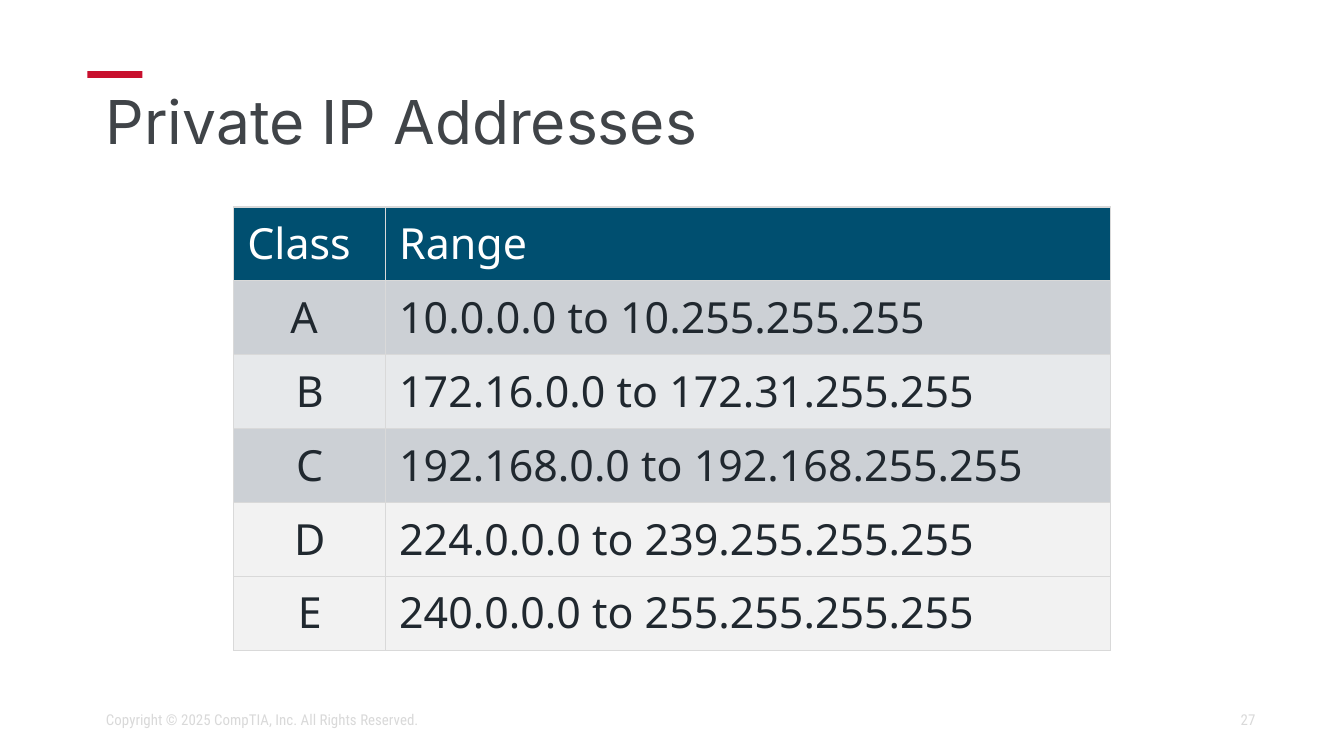
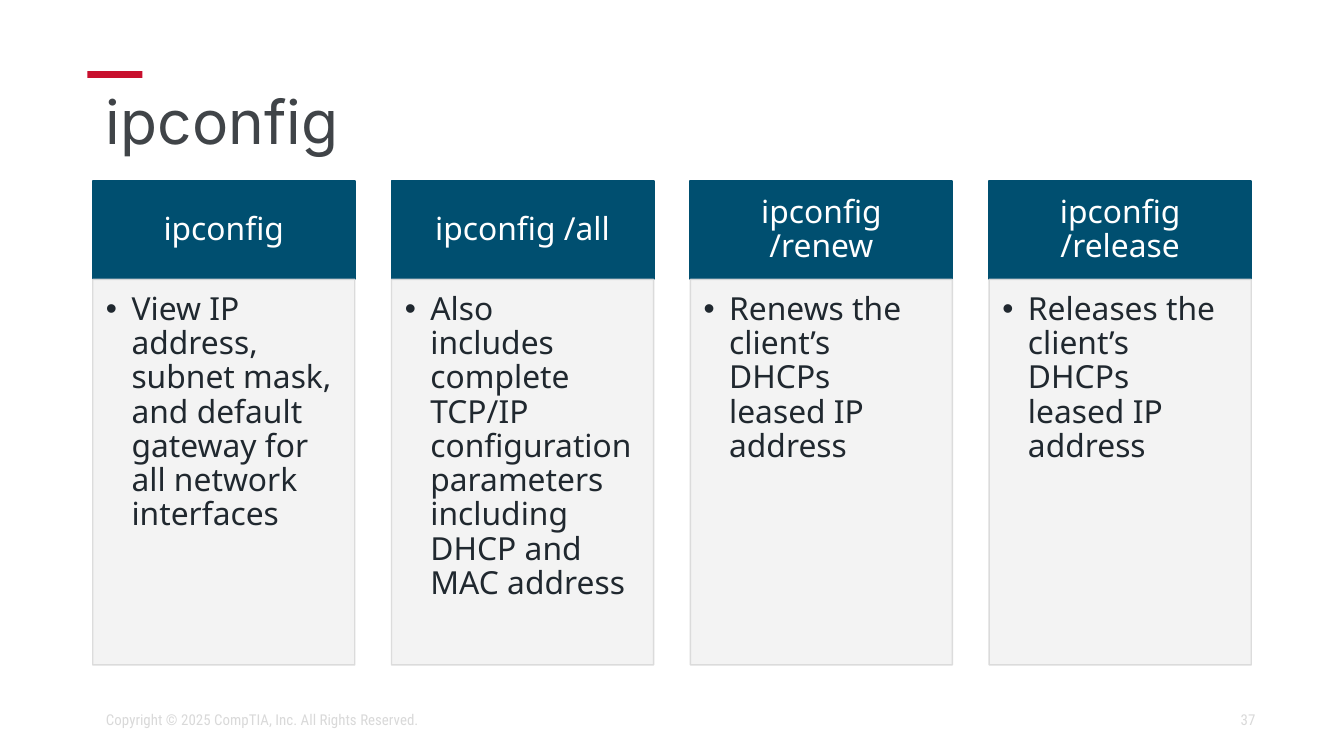
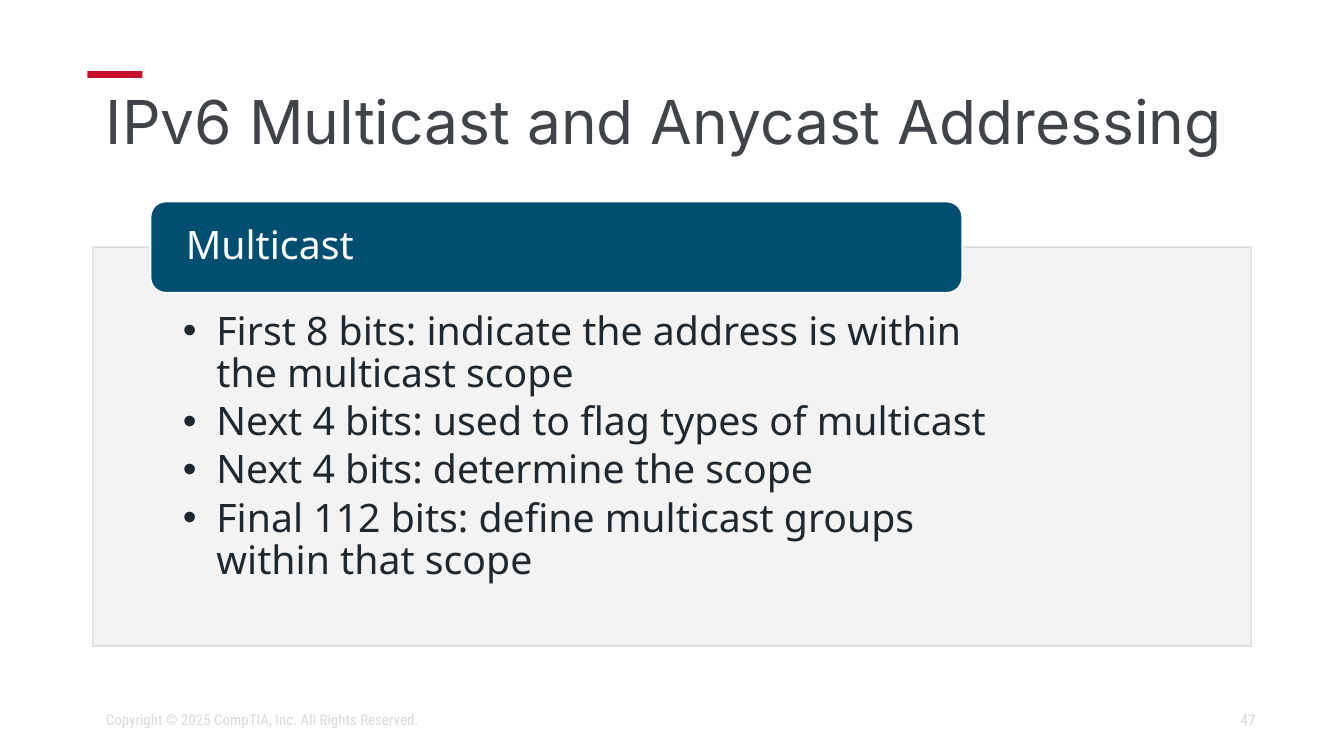
"""Build three slides about IP addressing."""
from lxml import etree
from pptx import Presentation
from pptx.dml.color import RGBColor
from pptx.enum.shapes import MSO_SHAPE
from pptx.enum.text import MSO_ANCHOR, PP_ALIGN
from pptx.oxml.ns import qn
from pptx.util import Inches, Pt

RECTANGLE = MSO_SHAPE.RECTANGLE
ROUNDED = MSO_SHAPE.ROUNDED_RECTANGLE
TOP, MIDDLE = MSO_ANCHOR.TOP, MSO_ANCHOR.MIDDLE
LEFT, CENTER, RIGHT = PP_ALIGN.LEFT, PP_ALIGN.CENTER, PP_ALIGN.RIGHT

COLORS = {
    "red": "C8102E", "title": "404448", "footer": "D9D9D9", "blue": "004F70",
    "panel": "F2F2F2", "border": "D9D9D9", "ink": "20282F", "white": "FFFFFF",
    "dark band": "CCD0D5", "light band": "E7E9EB",
}
TITLE_FONT, BODY_FONT, FOOTER_FONT = "Inter", "Noto Sans", "Roboto Condensed"
COPYRIGHT = "Copyright © 2025 CompTIA, Inc. All Rights Reserved."
MARGIN, CONTENT_WIDTH = 0.69, 8.62
DEFAULT_INSETS = (0.1, 0.05, 0.1, 0.05)


class Deck:
    """Holds the shared style and the current slide."""

    def __init__(self):
        self.presentation = Presentation()
        self.presentation.slide_width = Inches(10)
        self.presentation.slide_height = Inches(5.62)
        self.slide = None

    def color(self, name):
        return RGBColor.from_string(COLORS[name])

    def start_slide(self, title, number):
        self.slide = self.presentation.slides.add_slide(self.presentation.slide_layouts[6])
        self.box((0.65, 0.53, 0.41, 0.05), "red")
        self.label((MARGIN, 0.64, CONTENT_WIDTH, 0.63), title, TITLE_FONT, 32.4, "title",
                   spacing=0.9)
        self.label((7.06, 5.21, 2.38, 0.3), str(number), FOOTER_FONT, 8, "footer",
                   anchor=MIDDLE, align=RIGHT)
        self.label((MARGIN, 5.21, 4.31, 0.3), COPYRIGHT, FOOTER_FONT, 8, "footer",
                   anchor=MIDDLE)

    def add_text(self, paragraph, text, font, size, color, align=LEFT):
        paragraph.alignment = align
        for index, line in enumerate(text.split("\n")):
            if index:
                paragraph.add_line_break()
            run = paragraph.add_run()
            run.text = line
            run.font.name = font
            run.font.size = Pt(size)
            run.font.color.rgb = self.color(color)

    def prepare(self, shape, insets, anchor):
        frame = shape.text_frame
        frame.word_wrap = True
        frame.vertical_anchor = anchor
        (frame.margin_left, frame.margin_top,
         frame.margin_right, frame.margin_bottom) = map(Inches, insets)
        return frame

    def label(self, area, text, font, size, color, anchor=TOP, align=LEFT, spacing=1.0):
        shape = self.slide.shapes.add_textbox(*map(Inches, area))
        paragraph = self.prepare(shape, DEFAULT_INSETS, anchor).paragraphs[0]
        paragraph.line_spacing = spacing
        self.add_text(paragraph, text, font, size, color, align)

    def box(self, area, fill, line=None, line_width=1, kind=RECTANGLE):
        shape = self.slide.shapes.add_shape(kind, *map(Inches, area))
        shape.shadow.inherit = False
        shape.fill.solid()
        shape.fill.fore_color.rgb = self.color(fill)
        if line:
            shape.line.color.rgb = self.color(line)
            shape.line.width = Pt(line_width)
        else:
            shape.line.fill.background()
        return shape

    def header(self, area, text, size, insets, line="blue", kind=RECTANGLE, align=CENTER):
        shape = self.box(area, "blue", line, kind=kind)
        paragraph = self.prepare(shape, insets, MIDDLE).paragraphs[0]
        paragraph.line_spacing = 0.9
        self.add_text(paragraph, text, BODY_FONT, size, "white", align)

    def bullet_panel(self, area, items, size, insets, indent):
        shape = self.box(area, "panel", "border", 0.75)
        for color in shape.element.spPr.iter(qn("a:srgbClr")):
            etree.SubElement(color, qn("a:alpha"), val="90000")
        frame = self.prepare(shape, insets, TOP)
        for index, item in enumerate(items):
            paragraph = frame.add_paragraph() if index else frame.paragraphs[0]
            paragraph.line_spacing = 0.9
            paragraph.space_after = Pt(round(size * 0.15, 1))
            properties = paragraph._p.get_or_add_pPr()
            properties.set("marL", str(Inches(indent)))
            properties.set("indent", str(-Inches(indent)))
            etree.SubElement(properties, qn("a:buFont"), typeface="Arial")
            etree.SubElement(properties, qn("a:buChar"), char="•")
            self.add_text(paragraph, item, BODY_FONT, size, "ink")

    def cell_borders(self, cell):
        properties = cell._tc.get_or_add_tcPr()
        for position, side in enumerate(("lnL", "lnR", "lnT", "lnB")):
            line = etree.Element(qn(f"a:{side}"), w=str(Pt(0.75)))
            fill = etree.SubElement(line, qn("a:solidFill"))
            etree.SubElement(fill, qn("a:srgbClr"), val=COLORS["border"])
            properties.insert(position, line)

    def table(self, left, top, widths, row_height, rows, fills):
        table = self.slide.shapes.add_table(
            len(rows), len(widths), Inches(left), Inches(top),
            Inches(sum(widths)), Inches(row_height * len(rows))).table
        table.horz_banding = False
        for column, width in zip(table.columns, widths):
            column.width = Inches(width)
        for row_index, (values, fill) in enumerate(zip(rows, fills)):
            table.rows[row_index].height = Inches(row_height)
            for column_index, value in enumerate(values):
                cell = table.cell(row_index, column_index)
                cell.fill.solid()
                cell.fill.fore_color.rgb = self.color(fill)
                self.cell_borders(cell)
                centered = row_index > 0 and column_index == 0
                self.add_text(cell.text_frame.paragraphs[0], value, BODY_FONT, 23,
                              "ink" if row_index else "white", CENTER if centered else LEFT)


def private_addresses(deck):
    """Add the table of address classes."""
    deck.start_slide("Private IP Addresses", 27)
    rows = [
        ("Class", "Range"),
        ("A ", "10.0.0.0 to 10.255.255.255"),
        ("B", "172.16.0.0 to 172.31.255.255"),
        ("C", "192.168.0.0 to 192.168.255.255"),
        ("D", "224.0.0.0 to 239.255.255.255"),
        ("E", "240.0.0.0 to 255.255.255.255"),
    ]
    fills = ["blue", "dark band", "light band", "dark band", "panel", "panel"]
    deck.table(1.74, 1.54, (1.13, 5.39), 0.55, rows, fills)


def ipconfig_commands(deck):
    """Add one column for each ipconfig command."""
    deck.start_slide("ipconfig", 37)
    commands = [
        ("ipconfig", "View IP address, subnet mask, and default gateway "
                     "for all network interfaces"),
        ("ipconfig /all", "Also\nincludes complete TCP/IP configuration parameters "
                          "including DHCP and MAC address"),
        ("ipconfig /renew", "Renews the client’s DHCPs leased IP address"),
        ("ipconfig /release", "Releases the client’s DHCPs leased IP address"),
    ]
    width = 1.95
    pitch = (CONTENT_WIDTH - width) / (len(commands) - 1)
    for index, (command, purpose) in enumerate(commands):
        left = MARGIN + index * pitch
        deck.header((left, 1.35, width, 0.73), command, 17, (0.13, 0.08, 0.13, 0.08))
        deck.bullet_panel((left, 2.08, width, 2.87), [purpose], 17,
                          (0.1, 0.1, 0.13, 0.15), 0.19)


def multicast(deck):
    """Add the multicast panel with its heading."""
    deck.start_slide("IPv6 Multicast and Anycast Addressing", 47)
    fields = [
        "First 8 bits: indicate the address is within\nthe multicast scope",
        "Next 4 bits: used to flag types of multicast",
        "Next 4 bits: determine the scope",
        "Final 112 bits: define multicast groups\nwithin that scope",
    ]
    deck.bullet_panel((MARGIN, 1.84, CONTENT_WIDTH, 2.97), fields, 21,
                      (0.67, 0.48, 0.67, 0.16), 0.25)
    deck.header((1.12, 1.5, 6.04, 0.68), "Multicast", 21, (0.23, 0, 0.23, 0),
                line="white", kind=ROUNDED, align=LEFT)


def main():
    """Build and save the presentation."""
    deck = Deck()
    private_addresses(deck)
    ipconfig_commands(deck)
    multicast(deck)
    deck.presentation.save("out.pptx")


if __name__ == "__main__":
    main()
